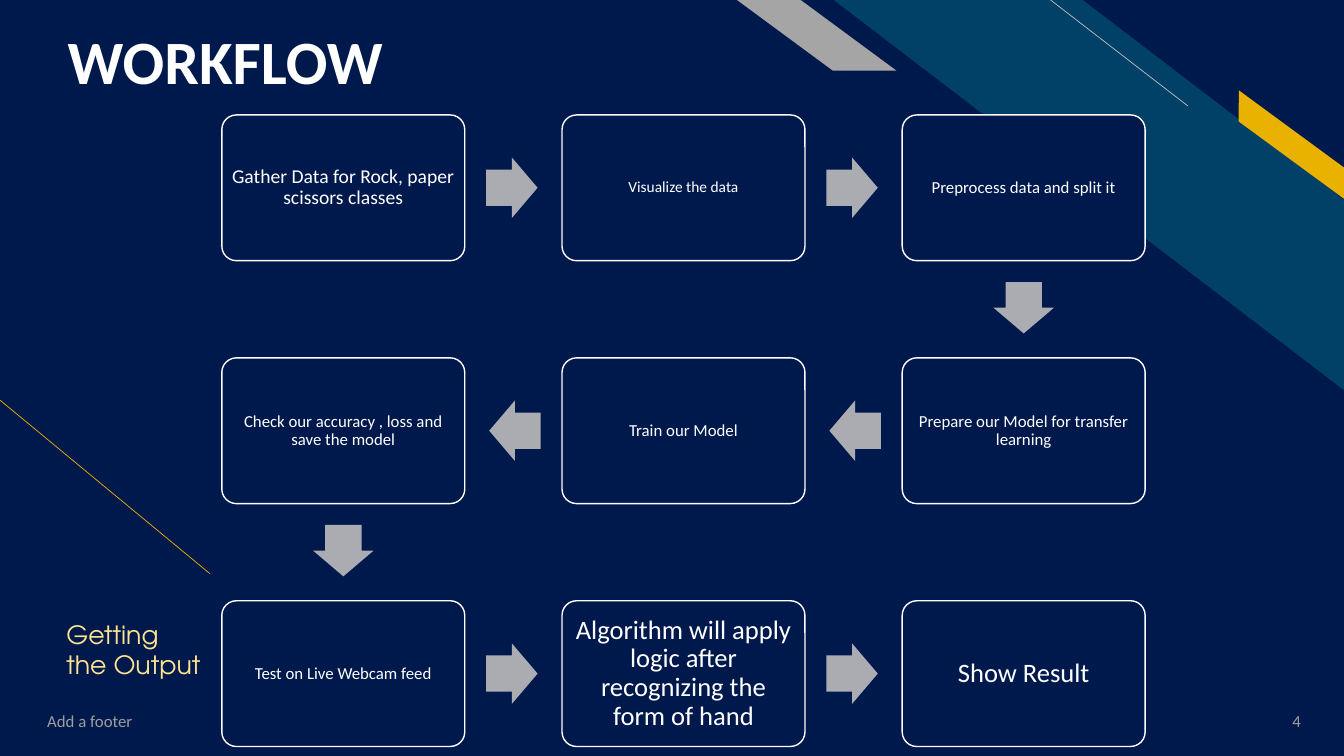
from dataclasses import dataclass

from pptx import Presentation
from pptx.dml.color import RGBColor
from pptx.enum.shapes import MSO_CONNECTOR, MSO_SHAPE
from pptx.enum.text import MSO_ANCHOR, MSO_AUTO_SIZE, PP_ALIGN
from pptx.oxml.ns import qn
from pptx.util import Inches, Pt


@dataclass(frozen=True)
class Theme:
    """Colours, fonts and type sizes of the deck."""
    navy: str = "00194C"
    teal: str = "014067"
    gold: str = "EAB200"
    silver: str = "A5A5A5"
    hairline: str = "BFBFBF"
    arrow: str = "ABACB2"
    white: str = "FFFFFF"
    muted: str = "9F9F9F"
    cream: str = "FFE591"
    font: str = "Calibri"
    note_font: str = "TeX Gyre Adventor"
    title_size: int = 44
    note_size: int = 18
    footer_size: int = 12


THEME = Theme()

STEPS = [
    ("Gather Data for Rock, paper scissors classes", 14, 0.06),
    ("Visualize the data", 11, 0.05),
    ("Preprocess data and split it", 12, 0.05),
    ("Prepare our Model for transfer learning", 12, 0.05),
    ("Train our Model", 12, 0.05),
    ("Check our accuracy , loss and save the model", 12, 0.05),
    ("Test on Live Webcam feed", 12, 0.05),
    ("Algorithm will apply logic after recognizing the form of hand", 19, 0.08),
    ("Show Result", 19, 0.08),
]


def set_text(tf, text, size, color, font=THEME.font, align=PP_ALIGN.LEFT,
             anchor=MSO_ANCHOR.MIDDLE, bold=False, spacing=1.0):
    """Write one formatted paragraph into a text frame."""
    tf.text = text
    tf.word_wrap = True
    tf.auto_size = MSO_AUTO_SIZE.NONE
    tf.vertical_anchor = anchor
    p = tf.paragraphs[0]
    p.alignment = align
    p.line_spacing = spacing
    f = p.runs[0].font
    f.name, f.size, f.bold = font, Pt(size), bold
    f.color.rgb = RGBColor.from_string(color)


def add_text(s, box, text, size, color, **style):
    """Add a text box at the given box."""
    tb = s.shapes.add_textbox(*map(Inches, box))
    set_text(tb.text_frame, text, size, color, **style)


def add_block(s, kind, box, fill, adj, rotation=0, flip=False):
    """Add a flat preset shape without an outline."""
    sp = s.shapes.add_shape(kind, *map(Inches, box))
    sp.shadow.inherit = False
    sp.fill.solid()
    sp.fill.fore_color.rgb = RGBColor.from_string(fill)
    sp.line.fill.background()
    for i, value in enumerate(adj):
        sp.adjustments[i] = value
    sp.rotation = rotation
    if flip:
        sp._element.spPr.find(qn("a:xfrm")).set("flipH", "1")
    return sp


def add_hairline(s, start, end, color):
    """Add a thin straight line between two points."""
    c = s.shapes.add_connector(MSO_CONNECTOR.STRAIGHT, *map(Inches, start + end))
    c.line.color.rgb = RGBColor.from_string(color)
    c.line.width = Pt(0.5)
    spPr = c._element.spPr
    spPr.append(spPr.makeelement(qn("a:effectLst"), {}))


def add_backdrop(s, width):
    """Paint the background and the diagonal decoration up to the right edge."""
    s.background.fill.solid()
    s.background.fill.fore_color.rgb = RGBColor.from_string(THEME.navy)
    add_hairline(s, (2.08, 5.69), (0, 3.97), THEME.gold)
    add_block(s, MSO_SHAPE.DIAGONAL_STRIPE, (width - 5.06, 0, 5.06, 3.87),
              THEME.teal, [0.512], flip=True)
    add_hairline(s, (width - 1.55, 1.05), (width - 2.91, 0), THEME.hairline)
    add_block(s, MSO_SHAPE.PARALLELOGRAM, (width - 1.26, 1.31, 1.48, 0.25),
              THEME.gold, [0.72], rotation=36.3, flip=True)
    add_block(s, MSO_SHAPE.PARALLELOGRAM, (width - 6.02, 0, 1.58, 0.7),
              THEME.silver, [1.356], flip=True)


def add_title(s, box, text):
    """Place and format the title placeholder."""
    title = s.shapes.title
    title.left, title.top, title.width, title.height = map(Inches, box)
    tf = title.text_frame
    set_text(tf, text, THEME.title_size, THEME.white, bold=True,
             anchor=MSO_ANCHOR.BOTTOM, spacing=0.9)
    tf.margin_bottom = 0


def add_step(s, box, text, size, margin):
    """Add one rounded workflow card with its label."""
    card = add_block(s, MSO_SHAPE.ROUNDED_RECTANGLE, box, THEME.navy, [0.1])
    card.line.color.rgb = RGBColor.from_string(THEME.white)
    card.line.width = Pt(1)
    tf = card.text_frame
    set_text(tf, text, size, THEME.white, align=PP_ALIGN.CENTER, spacing=0.9)
    tf.margin_left = tf.margin_right = Inches(margin)
    tf.margin_top = tf.margin_bottom = Inches(margin)


def add_step_arrow(s, start, end):
    """Add a block arrow midway between two card centres."""
    w, h, setback = 0.51, 0.6, 0.015
    dx, dy = ((b > a) - (b < a) for a, b in zip(start, end))
    x = (start[0] + end[0]) / 2 - setback * dx
    y = (start[1] + end[1]) / 2 - setback * dy
    rotation = {(1, 0): 0, (0, 1): 90, (-1, 0): 180}[dx, dy]
    add_block(s, MSO_SHAPE.RIGHT_ARROW, (x - w / 2, y - h / 2, w, h),
              THEME.arrow, [0.6, 0.5], rotation)


def add_workflow(s, left, top, card_w, steps, columns=3):
    """Lay the steps out row by row, reversing direction on every other row."""
    card_h = 0.6 * card_w
    centres = []
    for i, step in enumerate(steps):
        row, col = divmod(i, columns)
        if row % 2:
            col = columns - 1 - col
        x, y = left + col * 1.4 * card_w, top + row * card_w
        add_step(s, (x, y, card_w, card_h), *step)
        centres.append((x + card_w / 2, y + card_h / 2))
    for start, end in zip(centres, centres[1:]):
        add_step_arrow(s, start, end)


def add_footer(s, width, top, text, number):
    """Add the footer text and the slide number."""
    add_text(s, (0.37, top, 4.5, 0.4), text, THEME.footer_size, THEME.muted)
    add_text(s, (width - 1.14, top, 0.81, 0.4), number, THEME.footer_size,
             THEME.muted, align=PP_ALIGN.RIGHT)


def main():
    """Build the workflow slide and save it."""
    width, height = 13.33, 7.5
    prs = Presentation()
    prs.slide_width, prs.slide_height = Inches(width), Inches(height)
    s = prs.slides.add_slide(prs.slide_layouts[5])
    add_backdrop(s, width)
    add_title(s, (0.57, 0.11, 9.11, 0.86), "WORKFLOW")
    add_footer(s, width, height - 0.55, "Add a footer", "4")
    add_workflow(s, 2.2, 1.14, 2.41, STEPS)
    add_text(s, (0.56, 6.09, 1.56, 0.71), "Getting the Output", THEME.note_size,
             THEME.cream, font=THEME.note_font, anchor=MSO_ANCHOR.TOP)
    prs.save("out.pptx")


if __name__ == "__main__":
    main()
